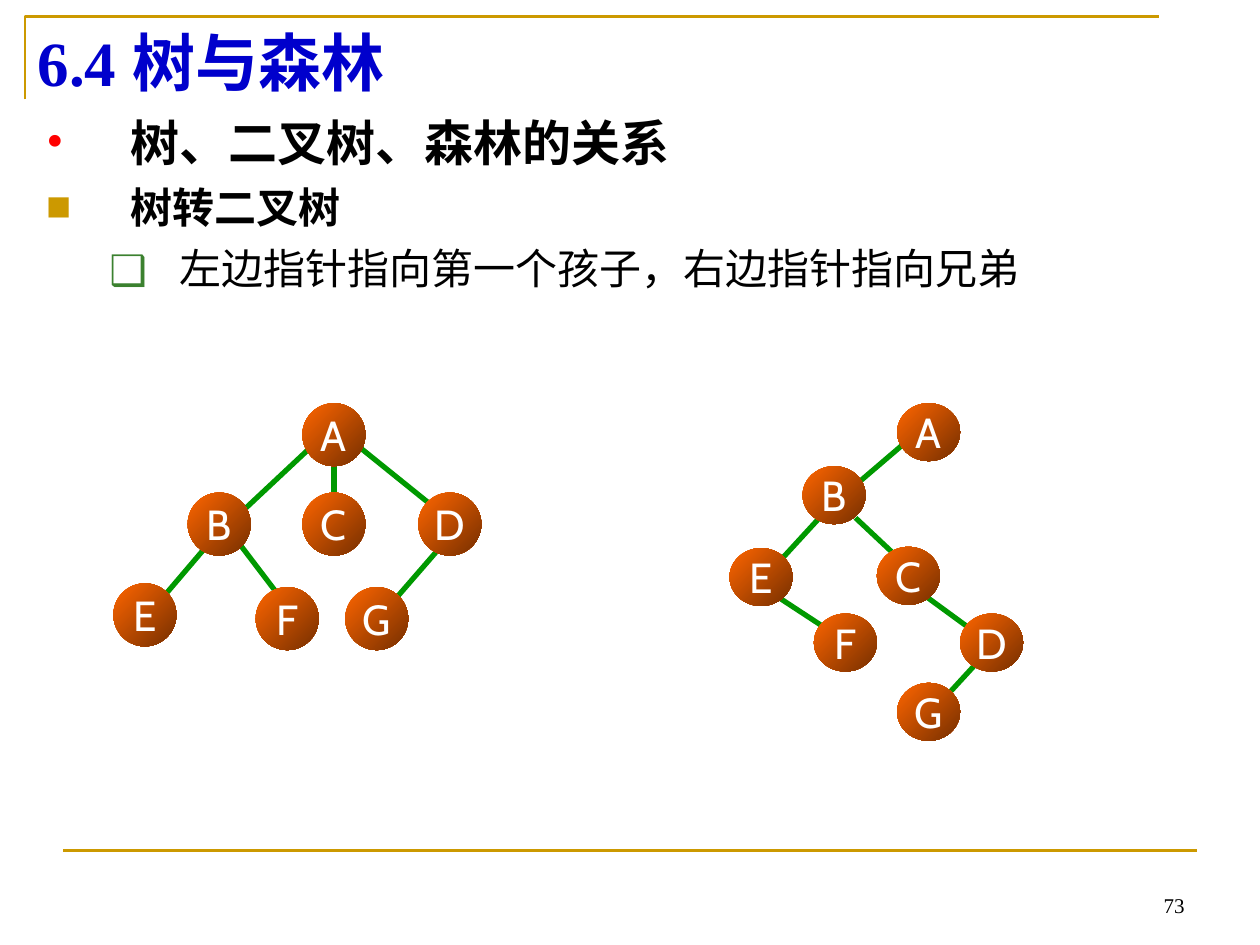
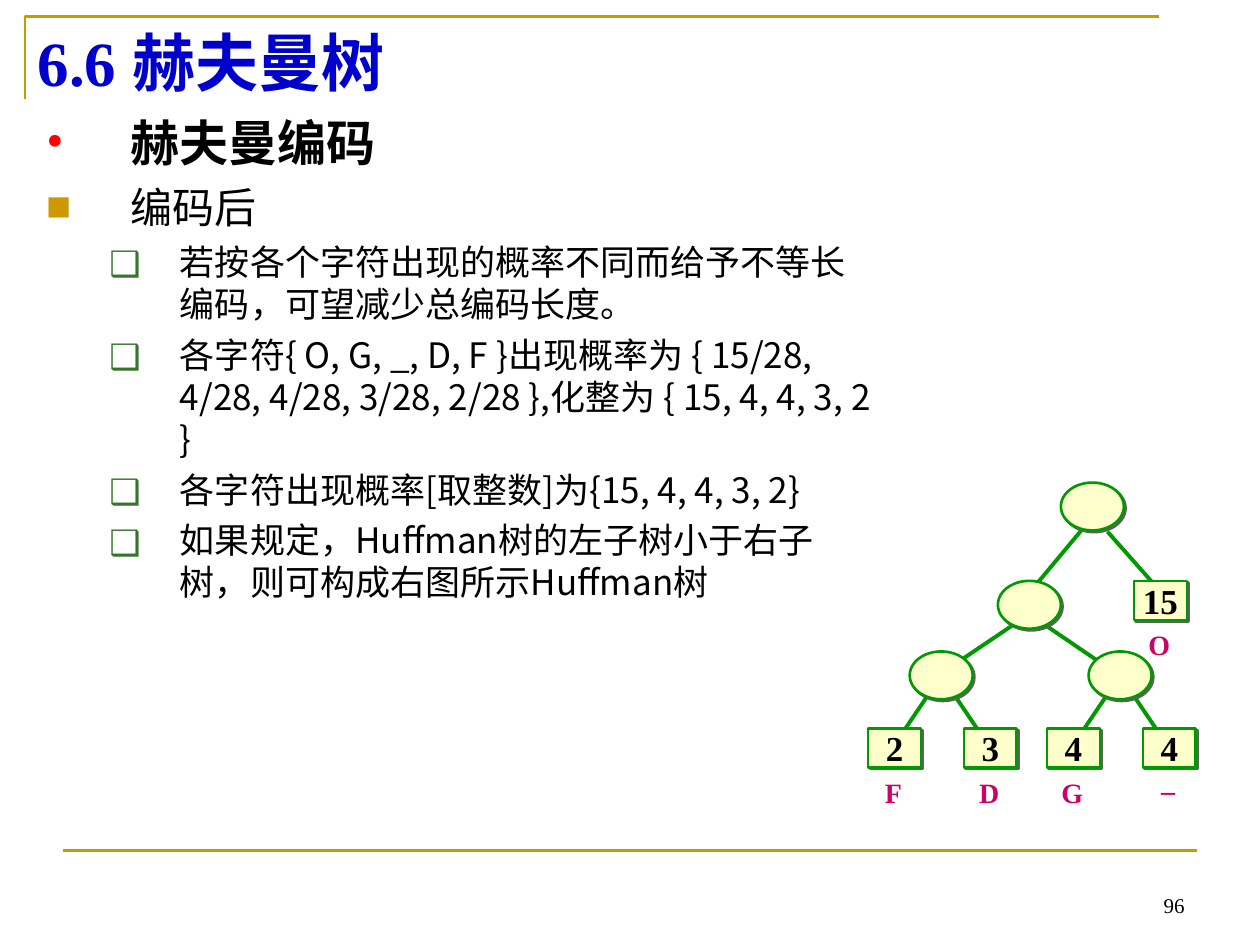
from dataclasses import dataclass

from lxml import etree
from pptx import Presentation
from pptx.dml.color import RGBColor
from pptx.enum.shapes import MSO_CONNECTOR, MSO_SHAPE
from pptx.enum.text import MSO_ANCHOR, PP_ALIGN
from pptx.oxml.ns import qn
from pptx.util import Inches, Pt

STRAIGHT = MSO_CONNECTOR.STRAIGHT
ELLIPSE, RECTANGLE = MSO_SHAPE.OVAL, MSO_SHAPE.RECTANGLE
MIDDLE, BOTTOM = MSO_ANCHOR.MIDDLE, MSO_ANCHOR.BOTTOM
LEFT, CENTER, RIGHT = PP_ALIGN.LEFT, PP_ALIGN.CENTER, PP_ALIGN.RIGHT

GOLD = RGBColor(0xCC, 0x99, 0x00)
BLUE = RGBColor(0x00, 0x00, 0xCC)
BLACK = RGBColor(0x00, 0x00, 0x00)
WHITE = RGBColor(0xFF, 0xFF, 0xFF)
RED = RGBColor(0xFF, 0x00, 0x00)
GREEN = RGBColor(0x00, 0x99, 0x00)
BULLET_GREEN = RGBColor(0x3B, 0x81, 0x2F)
BULLET_DARK_GREEN = RGBColor(0x35, 0x74, 0x2A)
ORANGE = RGBColor(0xFF, 0x66, 0x00)
BROWN = RGBColor(0x76, 0x2F, 0x00)
CREAM = RGBColor(0xFF, 0xFF, 0xCC)
SHADOW_GRAY = RGBColor(0x5F, 0x5F, 0x5F)
MAGENTA = RGBColor(0xCC, 0x00, 0x66)

SERIF, SANS, NODE_FONT = "Times New Roman", "Noto Sans CJK SC", "Cabin"


@dataclass(frozen=True)
class TextStyle:
    size: int
    color: RGBColor = BLACK
    font: str = SERIF
    bold: bool = False


@dataclass(frozen=True)
class Bullet:
    symbol: str
    color: RGBColor
    font: str
    percent: int = 100
    level: int = 0
    margin: float = 0.67
    indent: float = -0.67


@dataclass(frozen=True)
class Item:
    text: str
    bullet: Bullet
    size: int
    bold: bool = False
    space_before: int = 6


@dataclass(frozen=True)
class Edge:
    x1: float
    y1: float
    x2: float
    y2: float


@dataclass(frozen=True)
class Node:
    letter: str
    left: float
    top: float


@dataclass(frozen=True)
class Leaf:
    weight: str
    letter: str
    left: float
    top: float
    label_drop: float = 0.32


TITLE = TextStyle(36, BLUE, bold=True)
PAGE_NUMBER = TextStyle(12)
NODE_LETTER = TextStyle(24, WHITE, NODE_FONT)
WEIGHT = TextStyle(20, bold=True)
LEAF_LETTER = TextStyle(16, MAGENTA, bold=True)

DOT = Bullet("•", RED, SERIF)
SQUARE = Bullet("■", GOLD, SANS, 60)
BOX = Bullet("❑", BULLET_GREEN, SANS, 100, 1, 1.06, -0.56)
DARK_BOX = Bullet("❑", BULLET_DARK_GREEN, SANS, 100, 1, 1.06, -0.56)

RELATION_ITEMS = [
    Item("树、二叉树、森林的关系", DOT, 28, True, 0),
    Item("树转二叉树", SQUARE, 24, True),
    Item("左边指针指向第一个孩子，右边指针指向兄弟", BOX, 24),
]
CODING_ITEMS = [
    Item("赫夫曼编码", DOT, 28, True, 0),
    Item("编码后", SQUARE, 24),
] + [
    Item(text, DARK_BOX, 20, space_before=5)
    for text in (
        "若按各个字符出现的概率不同而给予不等长编码，可望减少总编码长度。",
        "各字符{ O, G, _, D, F }出现概率为 { 15/28, 4/28, 4/28, 3/28, 2/28 },"
        "化整为 { 15, 4, 4, 3, 2 }",
        "各字符出现概率[取整数]为{15, 4, 4, 3, 2}",
        "如果规定，Huffman树的左子树小于右子树，则可构成右图所示Huffman树",
    )
]

TREE_NODES = [
    Node("A", 2.4, 3.2), Node("B", 1.49, 3.91), Node("C", 2.4, 3.91),
    Node("D", 3.32, 3.91), Node("E", 0.9, 4.63), Node("F", 2.03, 4.66),
    Node("G", 2.74, 4.66),
]
TREE_EDGES = [
    Edge(2.78, 3.49, 3.4, 3.99), Edge(2.53, 3.49, 1.9, 4.08),
    Edge(2.65, 3.68, 2.65, 3.93), Edge(1.78, 4.17, 1.32, 4.71),
    Edge(1.82, 4.21, 2.2, 4.71), Edge(3.61, 4.21, 3.15, 4.74),
]
BINARY_NODES = [
    Node("A", 7.12, 3.2), Node("B", 6.37, 3.7), Node("E", 5.79, 4.35),
    Node("C", 6.96, 4.34), Node("F", 6.46, 4.87), Node("D", 7.62, 4.87),
    Node("G", 7.12, 5.42),
]
BINARY_EDGES = [
    Edge(7.41, 3.32, 6.79, 3.85), Edge(6.66, 3.94, 6.21, 4.43),
    Edge(6.79, 4.11, 7.12, 4.42), Edge(6.04, 4.65, 6.62, 5.03),
    Edge(7.33, 4.72, 7.96, 5.18), Edge(7.91, 5.09, 7.46, 5.58),
]

INNER_NODES = [(8.42, 3.83), (7.92, 4.61), (7.22, 5.17), (8.64, 5.17)]
LEAVES = [
    Leaf("15", "O", 9, 4.61), Leaf("2", "F", 6.89, 5.78),
    Leaf("3", "D", 7.65, 5.78), Leaf("4", "G", 8.31, 5.78),
    Leaf("4", "_", 9.07, 5.78, 0.23),
]
LEAF_WIDTH, LEAF_HEIGHT = 0.42, 0.31
HUFFMAN_EDGES = [
    Edge(8.79, 4.22, 9.25, 4.74), Edge(8.64, 4.14, 8.24, 4.62),
    Edge(8.25, 4.93, 8.72, 5.25), Edge(8.1, 4.92, 7.61, 5.25),
] + [
    # Each lower inner node spreads evenly to its two leaves
    Edge(center + side * 0.08, 5.48, center + side * 0.33, 5.85)
    for center in (7.47, 8.89) for side in (-1, 1)
]


def style_paragraph(paragraph, text: str, style: TextStyle) -> None:
    paragraph.text = text
    paragraph.font.size = Pt(style.size)
    paragraph.font.bold = style.bold
    paragraph.font.name = style.font
    paragraph.font.color.rgb = style.color
    for run in paragraph.runs:
        east_asian = etree.SubElement(run._r.get_or_add_rPr(), qn("a:ea"))
        east_asian.set("typeface", SANS)


def set_text(shape, text: str, style: TextStyle, align=CENTER, anchor=MIDDLE,
             margin: float = 0, wrap: bool = False) -> None:
    frame = shape.text_frame
    frame.word_wrap = wrap
    frame.vertical_anchor = anchor
    frame.margin_left = frame.margin_right = Inches(margin)
    paragraph = frame.paragraphs[0]
    paragraph.alignment = align
    style_paragraph(paragraph, text, style)


def add_box(slide, left: float, top: float, width: float, height: float):
    return slide.shapes.add_textbox(
        Inches(left), Inches(top), Inches(width), Inches(height))


def add_line(slide, edge: Edge, color: RGBColor, width: float) -> None:
    line = slide.shapes.add_connector(
        STRAIGHT, Inches(edge.x1), Inches(edge.y1), Inches(edge.x2), Inches(edge.y2))
    line.line.color.rgb = color
    line.line.width = Pt(width)
    etree.SubElement(line._element.spPr, qn("a:effectLst"))


def add_bullet(paragraph, bullet: Bullet) -> None:
    properties = paragraph._p.get_or_add_pPr()
    properties.set("marL", str(Inches(bullet.margin)))
    properties.set("indent", str(Inches(bullet.indent)))
    properties.set("hangingPunct", "0")
    color = etree.SubElement(properties, qn("a:buClr"))
    etree.SubElement(color, qn("a:srgbClr")).set("val", str(bullet.color))
    for tag, name, value in (
        ("a:buSzPct", "val", str(bullet.percent * 1000)),
        ("a:buFont", "typeface", bullet.font),
        ("a:buChar", "char", bullet.symbol),
    ):
        etree.SubElement(properties, qn(tag)).set(name, value)


def add_body(slide, items: list[Item], width: float, height: float) -> None:
    frame = add_box(slide, 0.27, 0.84, width, height).text_frame
    frame.word_wrap = True
    for index, item in enumerate(items):
        paragraph = frame.add_paragraph() if index else frame.paragraphs[0]
        paragraph.level = item.bullet.level
        paragraph.space_before = Pt(item.space_before)
        add_bullet(paragraph, item.bullet)
        style_paragraph(paragraph, item.text,
                        TextStyle(item.size, font=SANS, bold=item.bold))


def add_base_slide(presentation, title: str, page: int):
    slide = presentation.slides.add_slide(presentation.slide_layouts[6])
    # Corner frame and footer rule
    builder = slide.shapes.build_freeform(Inches(0.2), Inches(0.79))
    builder.add_line_segments(
        [(Inches(0.2), Inches(0.13)), (Inches(9.2), Inches(0.13))], close=False)
    corner = builder.convert_to_shape()
    corner.shadow.inherit = False
    corner.fill.background()
    corner.line.color.rgb = GOLD
    corner.line.width = Pt(1.5)
    add_line(slide, Edge(0.5, 6.75, 9.5, 6.75), GOLD, 1.5)
    # Page number and title
    set_text(add_box(slide, 7.17, 6.83, 2.33, 0.5), str(page), PAGE_NUMBER,
             RIGHT, BOTTOM, 0.1, True)
    set_text(add_box(slide, 0.2, 0.13, 9, 0.71), title, TITLE,
             LEFT, MIDDLE, 0.1, True)
    return slide


def add_tree(slide, nodes: list[Node], edges: list[Edge], height: float) -> None:
    for edge in edges:
        add_line(slide, edge, GREEN, 3)
    for node in nodes:
        circle = slide.shapes.add_shape(
            ELLIPSE, Inches(node.left), Inches(node.top), Inches(0.5), Inches(height))
        circle.shadow.inherit = False
        circle.fill.gradient()
        circle.fill.gradient_angle = 315
        for stop, color, position in zip(
                circle.fill.gradient_stops, (ORANGE, BROWN), (0, 1)):
            stop.color.rgb = color
            stop.position = position
        circle.line.fill.background()
        set_text(circle, node.letter, NODE_LETTER)


def add_huffman_shape(slide, kind, left: float, top: float, width: float, height: float):
    shape = slide.shapes.add_shape(
        kind, Inches(left), Inches(top), Inches(width), Inches(height))
    shape.fill.solid()
    shape.fill.fore_color.rgb = CREAM
    shape.line.color.rgb = GREEN
    shape.line.width = Pt(1.5)
    effects = etree.SubElement(shape._element.spPr, qn("a:effectLst"))
    shadow = etree.SubElement(effects, qn("a:outerShdw"), dist=str(Pt(1.4)),
                              dir="2700000", algn="ctr", rotWithShape="0")
    etree.SubElement(shadow, qn("a:srgbClr")).set("val", str(SHADOW_GRAY))
    return shape


def add_huffman_tree(slide) -> None:
    for edge in HUFFMAN_EDGES:
        add_line(slide, edge, GREEN, 2.25)
    for left, top in INNER_NODES:
        add_huffman_shape(slide, ELLIPSE, left, top, 0.5, 0.38)
    for leaf in LEAVES:
        square = add_huffman_shape(
            slide, RECTANGLE, leaf.left, leaf.top, LEAF_WIDTH, LEAF_HEIGHT)
        set_text(square, leaf.weight, WEIGHT)
        label = add_box(slide, leaf.left - 0.01, leaf.top + leaf.label_drop,
                        LEAF_WIDTH, 0.37)
        set_text(label, leaf.letter, LEAF_LETTER)


def main() -> None:
    presentation = Presentation()
    presentation.slide_width = Inches(10)
    presentation.slide_height = Inches(7.5)

    # Tree and its binary form
    slide = add_base_slide(presentation, "6.4 树与森林", 73)
    add_body(slide, RELATION_ITEMS, 9.53, 4.25)
    add_tree(slide, TREE_NODES, TREE_EDGES, 0.5)
    add_tree(slide, BINARY_NODES, BINARY_EDGES, 0.46)

    # Huffman coding
    slide = add_base_slide(presentation, "6.6 赫夫曼树", 96)
    add_body(slide, CODING_ITEMS, 6.77, 5.91)
    add_huffman_tree(slide)

    presentation.save("out.pptx")


if __name__ == "__main__":
    main()
